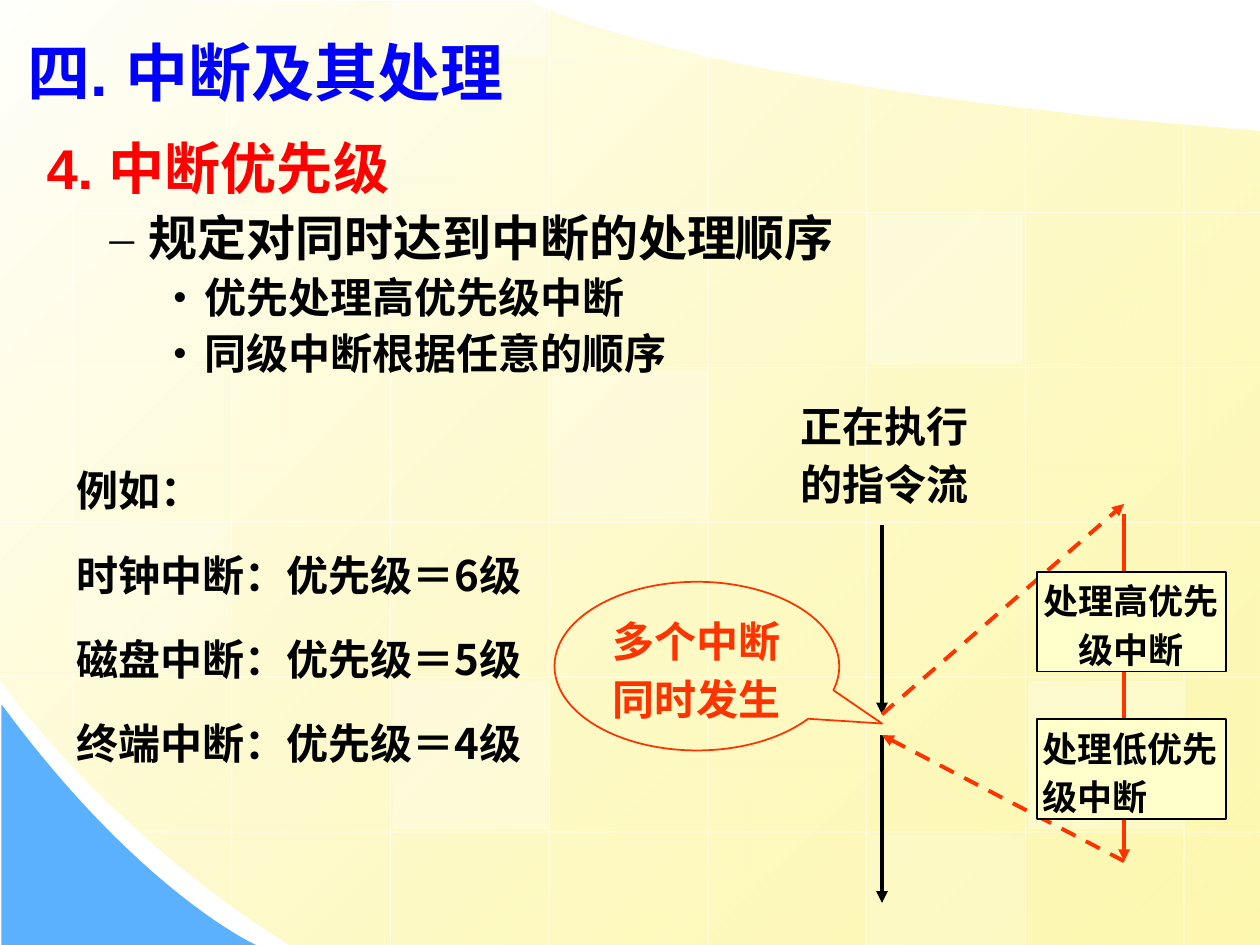
from lxml import etree
from pptx import Presentation
from pptx.dml.color import RGBColor
from pptx.enum.dml import MSO_LINE
from pptx.enum.shapes import MSO_CONNECTOR, MSO_SHAPE
from pptx.enum.text import MSO_ANCHOR, PP_ALIGN
from pptx.oxml.ns import qn
from pptx.util import Cm, Pt

STRAIGHT = MSO_CONNECTOR.STRAIGHT
RECT, CALLOUT = MSO_SHAPE.RECTANGLE, MSO_SHAPE.OVAL_CALLOUT
DASH = MSO_LINE.DASH
TOP, MIDDLE = MSO_ANCHOR.TOP, MSO_ANCHOR.MIDDLE
LEFT, CENTER = PP_ALIGN.LEFT, PP_ALIGN.CENTER

WHITE = RGBColor(0xFF, 0xFF, 0xFF)
BLACK = RGBColor(0, 0, 0)
BLUE = RGBColor(0, 0, 0xFF)
RED = RGBColor(0xFF, 0, 0)
ORANGE = RGBColor(0xFF, 0x33, 0)
CREAM = RGBColor(0xFF, 0xFF, 0xCC)
IVORY = RGBColor(0xFF, 0xFF, 0xFB)
YELLOW = RGBColor(0xFD, 0xF5, 0x8D)
SKY = RGBColor(0x5C, 0xB1, 0xFE)

ARIAL, TIMES, NOTO = "Arial", "Times New Roman", "Noto Sans CJK SC"
WIDTH, HEIGHT = 25.4, 19.05
WIDE_INSETS, THIN_INSETS = (0.25, 0.13), (0.05, 0.03)


def curve(p0, p1, p2, p3, steps=40):
    """Points along a cubic Bezier curve."""
    points = []
    for i in range(steps + 1):
        t = i / steps
        weights = ((1 - t) ** 3, 3 * t * (1 - t) ** 2, 3 * t * t * (1 - t), t ** 3)
        points.append(tuple(sum(w * p[axis] for w, p in zip(weights, (p0, p1, p2, p3)))
                            for axis in (0, 1)))
    return points


def sub(parent, tag, **attrs):
    return etree.SubElement(parent, qn(tag), attrs)


def set_opacity(color_parent, percent):
    color = color_parent.findall(".//" + qn("a:srgbClr"))[-1]
    sub(color, "a:alpha", val=str(percent * 1000))


class SlideBuilder:
    def __init__(self, slide):
        self.shapes = slide.shapes

    def outline(self, points):
        points = [(Cm(x), Cm(y)) for x, y in points]
        builder = self.shapes.build_freeform(*points[0], scale=1.0)
        builder.add_line_segments(points[1:], close=True)
        sp = builder.convert_to_shape()
        sp.shadow.inherit = False
        sp.line.fill.background()
        return sp

    def line(self, start, end, color, width=2.25, dash=None, arrow=True, opacity=None):
        sp = self.shapes.add_connector(STRAIGHT, *(Cm(v) for v in start + end))
        sp.line.color.rgb = color
        sp.line.width = Pt(width)
        if dash:
            sp.line.dash_style = dash
        props = sp._element.spPr
        ln = props.find(qn("a:ln"))
        if opacity:
            set_opacity(ln, opacity)
        if arrow:
            sub(ln, "a:tailEnd", type="triangle")
        sub(props, "a:effectLst")

    def shape(self, kind, box, fill=None, line=None, opacity=None):
        sp = self.shapes.add_shape(kind, *(Cm(v) for v in box))
        sp.shadow.inherit = False
        if fill is None:
            sp.fill.background()
        else:
            sp.fill.solid()
            sp.fill.fore_color.rgb = fill
        if opacity:
            set_opacity(sp._element.spPr, opacity)
        if line is None:
            sp.line.fill.background()
        else:
            sp.line.color.rgb = line
            sp.line.width = Pt(1)
        return sp

    def text_box(self, box):
        return self.shapes.add_textbox(*(Cm(v) for v in box))

    def text(self, sp, lines, size, color, font, insets=THIN_INSETS, anchor=MIDDLE,
             align=LEFT, spacing=1.15, before=0):
        tf = sp.text_frame
        tf.word_wrap = True
        tf.vertical_anchor = anchor
        tf.margin_left = tf.margin_right = Cm(insets[0])
        tf.margin_top = tf.margin_bottom = Cm(insets[1])
        tf.text = "\n".join(lines)
        for i, p in enumerate(tf.paragraphs):
            p.alignment = align
            p.line_spacing = spacing
            if i:
                p.space_before = Pt(before)
            self.style(p, size, color, font)
        return tf

    def style(self, p, size, color, font):
        for r in p.runs:
            r.font.size = Pt(size)
            r.font.bold = True
            r.font.name = font
            r.font.color.rgb = color
            sub(r._r.get_or_add_rPr(), "a:ea", typeface=NOTO)

    def bullet(self, tf, text, char, level, margin, hang, size, before):
        p = tf.add_paragraph()
        p.text = text
        p.level = level
        pPr = p._p.get_or_add_pPr()
        pPr.set("marL", str(int(Cm(margin))))
        pPr.set("indent", str(-int(Cm(hang))))
        sub(sub(pPr, "a:buClr"), "a:srgbClr", val=str(BLACK))
        sub(pPr, "a:buFont", typeface=TIMES)
        sub(pPr, "a:buChar", char=char)
        p.line_spacing = 0.9
        p.space_before = Pt(before)
        self.style(p, size, BLACK, ARIAL)


def draw_background(s):
    # Yellow field and blue corner
    field = s.outline([(WIDTH, HEIGHT)]
                      + curve((5.84, HEIGHT), (2.18, 16.79), (-0.03, 13.69), (0, 13.69))
                      + [(0, 0)]
                      + curve((10.69, 0.03), (10.69, 0.03), (13.64, 1.75), (WIDTH, 2.64)))
    field.fill.gradient()
    field.fill.gradient_angle = 315
    for stop, color, position in zip(field.fill.gradient_stops, (IVORY, YELLOW), (0, 1)):
        stop.color.rgb = color
        stop.position = position
    set_opacity(field._element.spPr, 70)
    corner = s.outline([(0.03, HEIGHT)]
                       + curve((5.16, HEIGHT), (5.16, HEIGHT), (2.84, 18.01), (0.03, 14.2)))
    corner.fill.solid()
    corner.fill.fore_color.rgb = SKY

    # Grid lines
    grid = dict(color=WHITE, width=0.75, arrow=False, opacity=50)
    tops = (0, 0, 0, 0, 1.09, 1.73, 2.16, 2.49)
    bottoms = (15.47, 18.26) + (HEIGHT,) * 6
    for i, (top, bottom) in enumerate(zip(tops, bottoms)):
        x = 1.47 + 3.2 * i
        s.line((x, top), (x, bottom), **grid)
    lefts = (0, 0, 0, 0, 0, 2.82)
    rights = (14.43,) + (WIDTH,) * 5
    for i, (left, right) in enumerate(zip(lefts, rights)):
        y = 1.17 + 3.12 * i
        s.line((right, y), (left, y), **grid)

    # Lighter tiles
    for x, y, height, opacity in ((11.13, 7.47, 3, 25), (20.73, 13.72, 3, 30),
                                  (1.52, 10.57, 3, 20), (17.53, 16.84, 2.21, 20),
                                  (7.9, 0, 1.12, 40), (7.92, 13.72, 3, 30),
                                  (17.5, 4.34, 3, 30)):
        s.shape(RECT, (x, y, 3.12, height), WHITE, opacity=opacity)


def draw_diagram(s):
    # Instruction flow and interrupt handling
    flow_x, handler_x = 17.78, 22.66
    s.line((flow_x, 10.58), (flow_x, 14.4), BLACK)
    s.line((flow_x, 14.82), (flow_x, 18.2), BLACK)
    s.line((handler_x, 10.37), (handler_x, 17.36), ORANGE)
    s.line((flow_x, 14.4), (handler_x, 10.16), ORANGE, dash=DASH)
    s.line((handler_x, 17.36), (flow_x, 14.82), ORANGE, dash=DASH)

    # Callout and flow label
    callout = s.shape(CALLOUT, (11.18, 11.73, 5.74, 3.4), line=ORANGE)
    callout.adjustments[0], callout.adjustments[1] = 0.65, 0.34
    s.text(callout, ["多个中断同时发生"], 24, ORANGE, TIMES, align=CENTER)
    s.text(s.text_box((16.08, 7.9, 3.91, 2.39)), ["正在执行的指令流"], 24, BLACK, TIMES)

    # Handlers
    for y, text, align, inset in ((11.53, "处理高优先级中断", CENTER, 0.05),
                                  (14.5, "处理低优先级中断", LEFT, 0.11)):
        box = s.shape(RECT, (20.9, y, 3.81, 2.01), CREAM, BLACK)
        s.text(box, [text], 20, BLACK, TIMES, insets=(inset, 0.03), align=align)


def main():
    prs = Presentation()
    prs.slide_width, prs.slide_height = Cm(WIDTH), Cm(HEIGHT)
    s = SlideBuilder(prs.slides.add_slide(prs.slide_layouts[6]))
    draw_background(s)

    # Outline text
    tf = s.text(s.text_box((0.69, 2.72, 21.59, 5.41)), ["4. 中断优先级"], 32, RED, ARIAL,
                WIDE_INSETS, TOP, spacing=0.9)
    s.bullet(tf, "规定对同时达到中断的处理顺序", "–", 1, 2.06, 0.79, 28, 7)
    for text in ("优先处理高优先级中断", "同级中断根据任意的顺序"):
        s.bullet(tf, text, "•", 2, 3.18, 0.64, 24, 6)

    draw_diagram(s)

    # Priority examples and title
    levels = (("时钟", 6), ("磁盘", 5), ("终端", 4))
    s.text(s.text_box((1.3, 9.09, 9.86, 10.03)),
           ["例如："] + [f"{name}中断：优先级＝{level}级" for name, level in levels],
           24, BLACK, NOTO, WIDE_INSETS, TOP, before=15)
    s.text(s.text_box((0.3, 0.71, 13.64, 1.63)), ["四. 中断及其处理"], 36, BLUE, ARIAL,
           WIDE_INSETS, TOP, spacing=0.9)
    prs.save("out.pptx")


if __name__ == "__main__":
    main()
